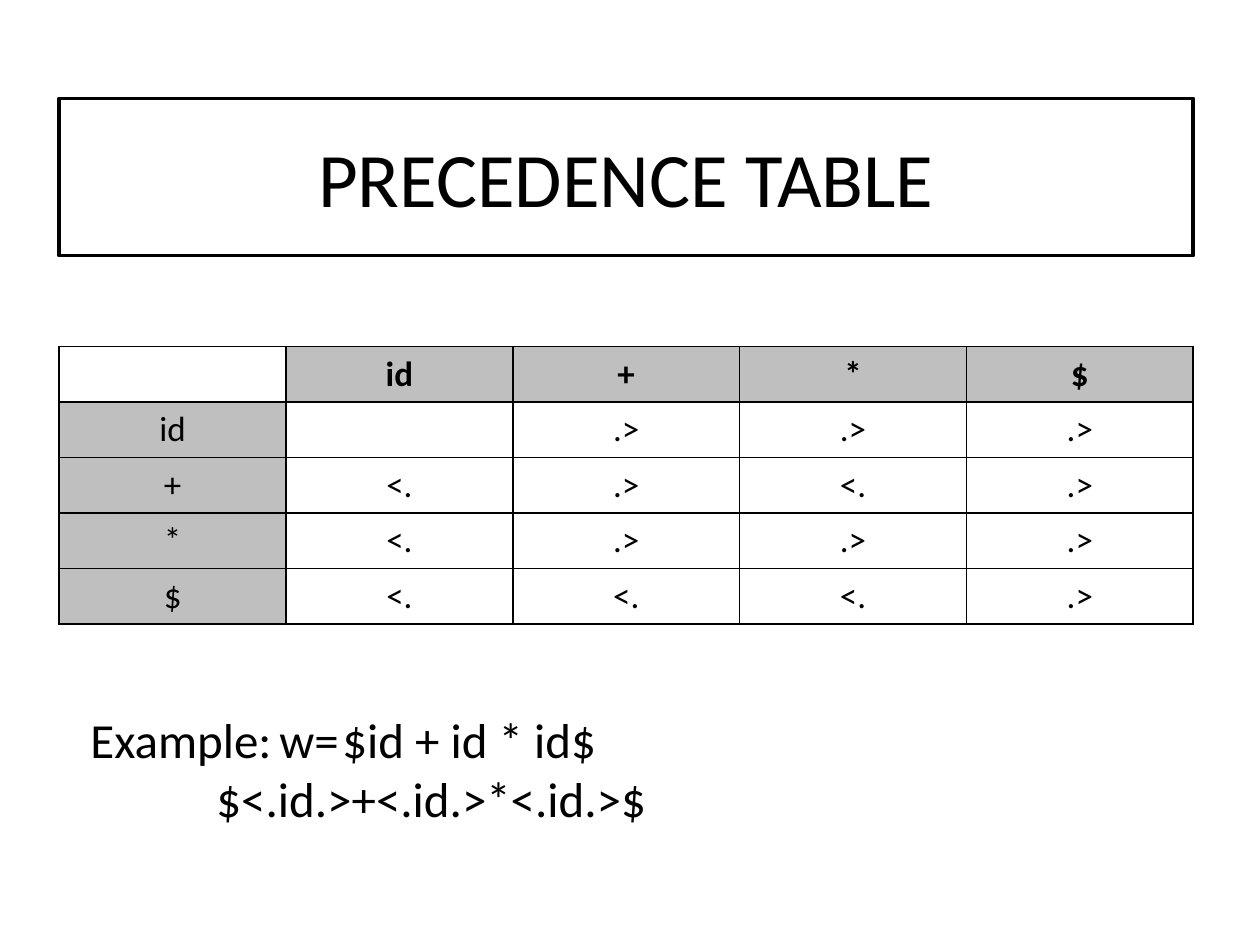
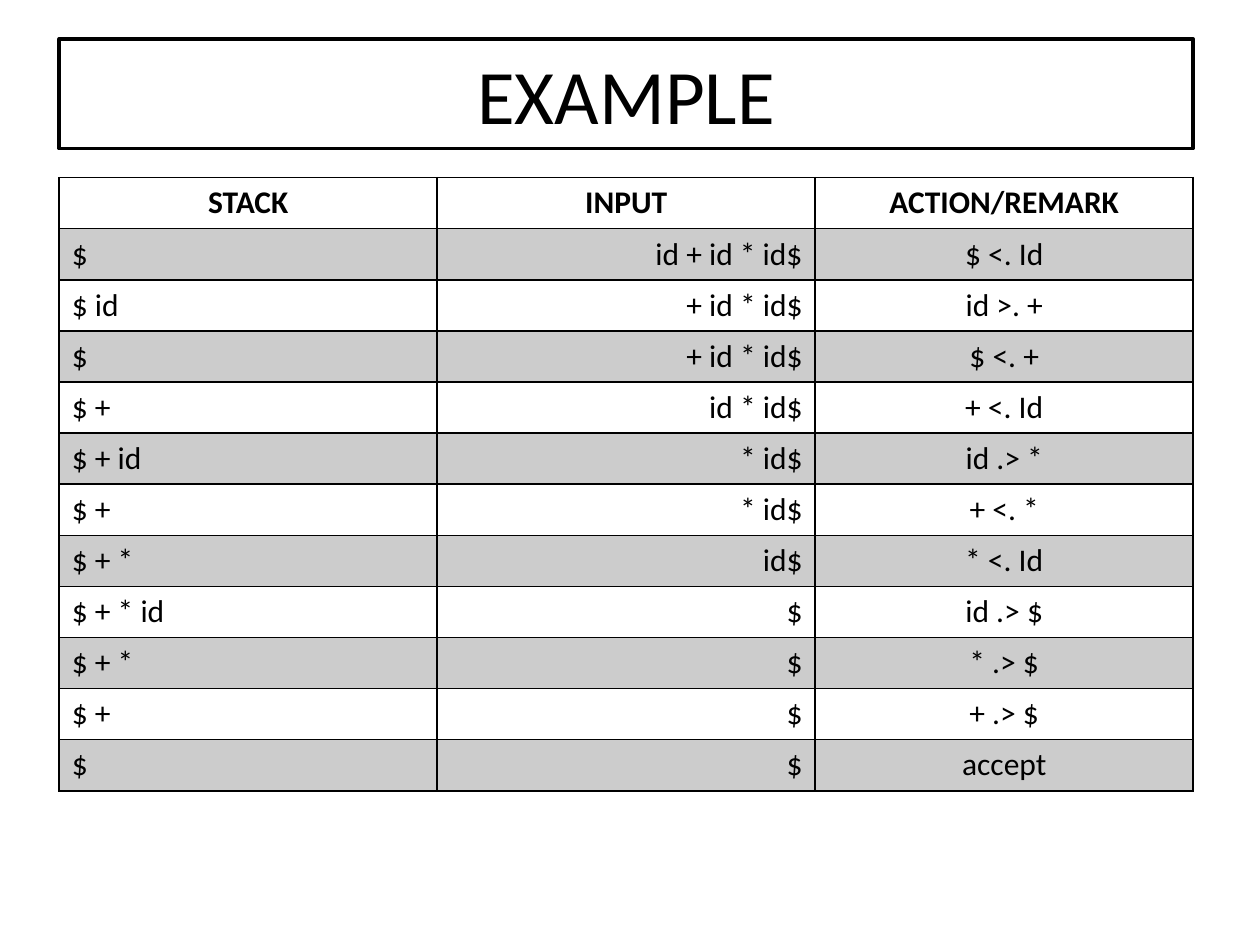
"""Build two slides on operator precedence parsing: the table and a worked example."""

from lxml.etree import SubElement
from pptx import Presentation
from pptx.dml.color import RGBColor
from pptx.enum.shapes import MSO_SHAPE as Shape
from pptx.enum.text import MSO_ANCHOR as Anchor, PP_ALIGN as Align
from pptx.oxml.ns import qn
from pptx.util import Inches, Pt

COLORS = {"ink": "000000", "paper": "FFFFFF", "header": "BFBFBF"}
FONT = "Calibri"
LEFT, WIDTH = 0.47, 9
BAND_OPACITY = 20

PRECEDENCE = [
    ["", "id", "+", "*", "$"],
    ["id", "", ".>", ".>", ".>"],
    ["+", "<.", ".>", "<.", ".>"],
    ["*", "<.", ".>", ".>", ".>"],
    ["$", "<.", "<.", "<.", ".>"],
]
PARSE_STEPS = [
    ["STACK", "INPUT", "ACTION/REMARK"],
    ["$", "id + id * id$", "$ <. Id"],
    ["$ id", "+ id * id$", "id >. +"],
    ["$", "+ id * id$", "$ <. +"],
    ["$ +", "id * id$", "+ <. Id"],
    ["$ + id", "* id$", "id .> *"],
    ["$ +", "* id$", "+ <. *"],
    ["$ + *", "id$", "* <. Id"],
    ["$ + * id", "$", "id .> $"],
    ["$ + *", "$", "* .> $"],
    ["$ +", "$", "+ .> $"],
    ["$", "$", "accept"],
]
STEP_ALIGNS = [Align.LEFT, Align.RIGHT, Align.CENTER]
EXAMPLE_LINES = ["Example:\tw=\t$id + id * id$", "\t\t$<.id.>+<.id.>*<.id.>$"]


def color(name):
    """Return the named colour."""
    return RGBColor.from_string(COLORS[name])


def add_text(para, text, size, align=Align.LEFT, bold=False):
    """Add one styled run to a paragraph."""
    para.alignment = align
    span = para.add_run()
    span.text = text
    span.font.name = FONT
    span.font.size = Pt(size)
    span.font.bold = bold
    span.font.color.rgb = color("ink")


def add_title(page, text, top, height):
    """Add the outlined title box."""
    box = page.shapes.add_shape(
        Shape.RECTANGLE, Inches(LEFT), Inches(top), Inches(WIDTH), Inches(height))
    box.shadow.inherit = False
    box.fill.solid()
    box.fill.fore_color.rgb = color("paper")
    box.line.color.rgb = color("ink")
    box.line.width = Pt(2)
    box.text_frame.vertical_anchor = Anchor.MIDDLE
    add_text(box.text_frame.paragraphs[0], text, 44, Align.CENTER)


def add_borders(cell):
    """Draw a thin line on all four sides of a cell."""
    props = cell._tc.get_or_add_tcPr()
    for side in ("lnL", "lnR", "lnT", "lnB"):
        line = SubElement(props, qn(f"a:{side}"), w=str(Pt(1)))
        fill = SubElement(line, qn("a:solidFill"))
        SubElement(fill, qn("a:srgbClr"), val=COLORS["ink"])


def fill_cell(cell, name, opacity=100):
    """Fill a cell, or leave it clear when no colour is named."""
    if name is None:
        cell.fill.background()
        return
    cell.fill.solid()
    cell.fill.fore_color.rgb = color(name)
    if opacity < 100:
        tint = cell._tc.tcPr.find(qn("a:solidFill"))[0]
        SubElement(tint, qn("a:alpha"), val=str(opacity * 1000))


def add_grid(page, rows, top, height, size, aligns, cell_fill):
    """Add a bordered table with a bold first row and fills given by a rule."""
    table = page.shapes.add_table(
        len(rows), len(rows[0]), Inches(LEFT), Inches(top),
        Inches(WIDTH), Inches(height)).table
    table.first_row = table.horz_banding = False
    for row, texts in enumerate(rows):
        for col, text in enumerate(texts):
            cell = table.cell(row, col)
            add_borders(cell)
            fill_cell(cell, *cell_fill(row, col))
            if text:
                align = aligns[col] if row else Align.CENTER
                add_text(cell.text_frame.paragraphs[0], text, size, align, row == 0)


def add_lines(page, lines, left, top, width, height):
    """Add a text box with one paragraph per line."""
    box = page.shapes.add_textbox(
        Inches(left), Inches(top), Inches(width), Inches(height))
    frame = box.text_frame
    frame.word_wrap = True
    frame.vertical_anchor = Anchor.MIDDLE
    for index, text in enumerate(lines):
        para = frame.add_paragraph() if index else frame.paragraphs[0]
        add_text(para, text, 28)


def precedence_fill(row, col):
    """Shade the header row and column, leaving the corner clear."""
    if row == col == 0:
        return (None,)
    return ("paper",) if row and col else ("header",)


def step_fill(row, col):
    """Shade every second row."""
    return ("ink", BAND_OPACITY) if row % 2 else (None,)


def build_precedence(page):
    """Build the precedence table slide."""
    add_title(page, "PRECEDENCE TABLE", 0.78, 1.25)
    add_grid(page, PRECEDENCE, 2.75, 2.2, 20, [Align.CENTER] * 5, precedence_fill)
    add_lines(page, EXAMPLE_LINES, 0.62, 5.47, 9, 1.25)


def build_example(page):
    """Build the worked example slide."""
    add_title(page, "EXAMPLE", 0.31, 0.87)
    add_grid(page, PARSE_STEPS, 1.41, 4.87, 18, STEP_ALIGNS, step_fill)


def main():
    """Build and save the deck."""
    deck = Presentation()
    deck.slide_width, deck.slide_height = Inches(10), Inches(7.5)
    for build in (build_precedence, build_example):
        build(deck.slides.add_slide(deck.slide_layouts[6]))
    deck.save("out.pptx")


if __name__ == "__main__":
    main()
